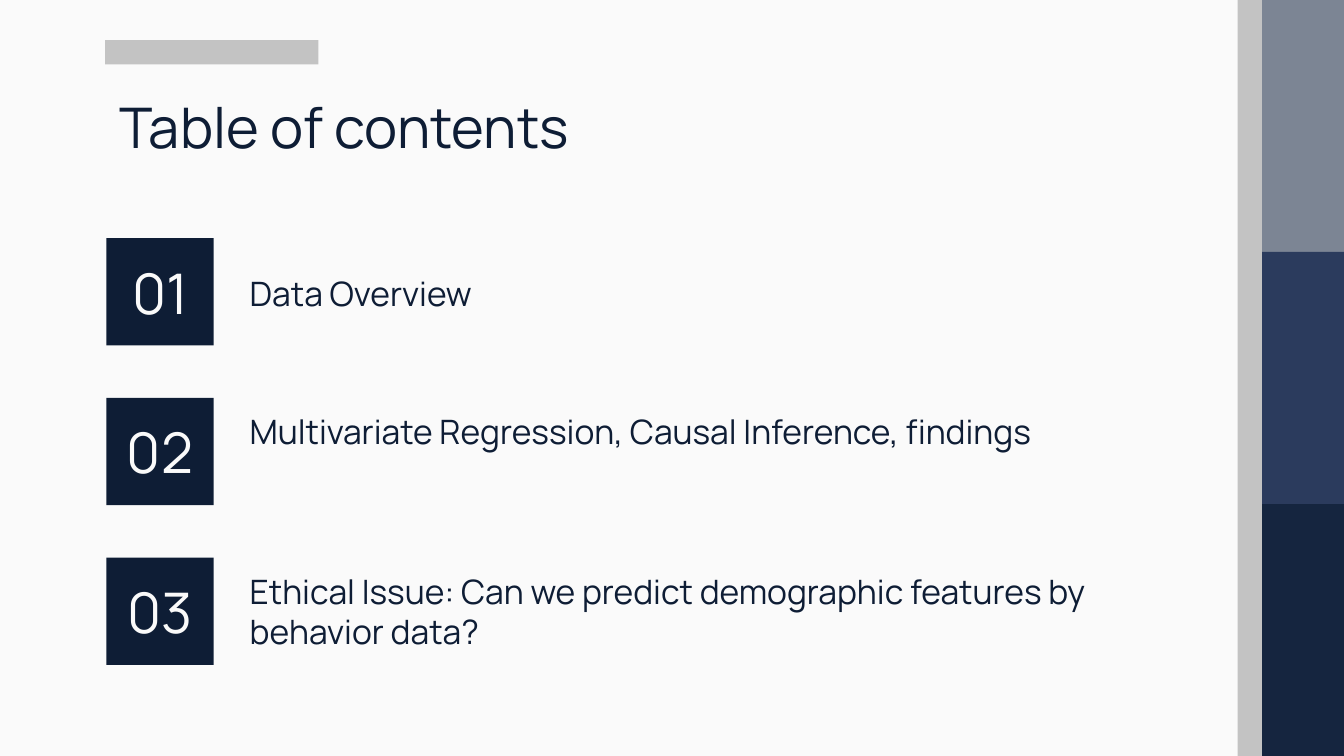
from pptx import Presentation
from pptx import util as u
from pptx.dml.color import RGBColor
from pptx.enum import shapes, text as txt

PAPER = RGBColor(0xFA, 0xFA, 0xFA)
NAVY = RGBColor(0x0E, 0x1D, 0x35)
GREY = RGBColor(0xC3, 0xC3, 0xC3)
BANDS = (
    RGBColor(0x7C, 0x85, 0x94),
    RGBColor(0x2B, 0x3B, 0x5D),
    RGBColor(0x15, 0x25, 0x3F),
)
FONT = "Manrope"
WIDE, HIGH = 25.4, 14.29
SIDE = 2.01
TILE = 2.03
PITCH = 3.02
ITEMS = (
    ("01", "Data Overview", 0.41, 7.04, 1.22),
    ("02", "Multivariate Regression, Causal Inference, findings", 0, 15.95, 1.22),
    ("03", "Ethical Issue: Can we predict demographic features by behavior data?",
     0, 17.91, 1.9),
)


def block(slide, left, top, width, height, color):
    shape = slide.shapes.add_shape(
        shapes.MSO_SHAPE.RECTANGLE, u.Cm(left), u.Cm(top), u.Cm(width), u.Cm(height))
    shape.shadow.inherit = False
    shape.fill.solid()
    shape.fill.fore_color.rgb = color
    shape.line.fill.background()
    return shape


def label(slide, left, top, width, height):
    return slide.shapes.add_textbox(
        u.Cm(left), u.Cm(top), u.Cm(width), u.Cm(height))


def write(shape, words, size=18, color=NAVY,
          align=txt.PP_ALIGN.LEFT, anchor=txt.MSO_ANCHOR.TOP):
    frame = shape.text_frame
    frame.word_wrap = True
    frame.vertical_anchor = anchor
    frame.margin_left = frame.margin_right = u.Cm(0.25)
    frame.margin_top = frame.margin_bottom = u.Cm(0.25)
    para = frame.paragraphs[0]
    para.alignment = align
    run = para.add_run()
    run.text = words
    run.font.name = FONT
    run.font.size = u.Pt(size)
    run.font.color.rgb = color


def border(slide, left, top, width, height):
    strip = 0.46
    step = height / len(BANDS)
    for row, color in enumerate(BANDS):
        block(slide, left + strip, top + row * step, width - strip, step, color)
    block(slide, left, top, strip, height, GREY)


def header(slide, left, top, width):
    block(slide, left - 0.02, top, 4.03, 0.46, GREY)
    write(label(slide, left, top + 0.74, width, 1.6), "Table of contents", size=30)


def agenda(slide, left, top):
    for row, (number, words, drop, width, height) in enumerate(ITEMS):
        level = top + row * PITCH
        tile = block(slide, left, level, TILE, TILE, NAVY)
        write(tile, number, size=30, color=PAPER,
              align=txt.PP_ALIGN.CENTER, anchor=txt.MSO_ANCHOR.MIDDLE)
        write(label(slide, left + 2.46, level + drop, width, height), words)


def main():
    deck = Presentation()
    deck.slide_width, deck.slide_height = u.Cm(WIDE), u.Cm(HIGH)
    slide = deck.slides.add_slide(deck.slide_layouts[6])
    slide.background.fill.solid()
    slide.background.fill.fore_color.rgb = PAPER
    border(slide, 23.39, 0, WIDE - 23.39, HIGH)
    header(slide, SIDE, 0.76, 21.41)
    agenda(slide, SIDE, 4.5)
    deck.save("out.pptx")


if __name__ == "__main__":
    main()
